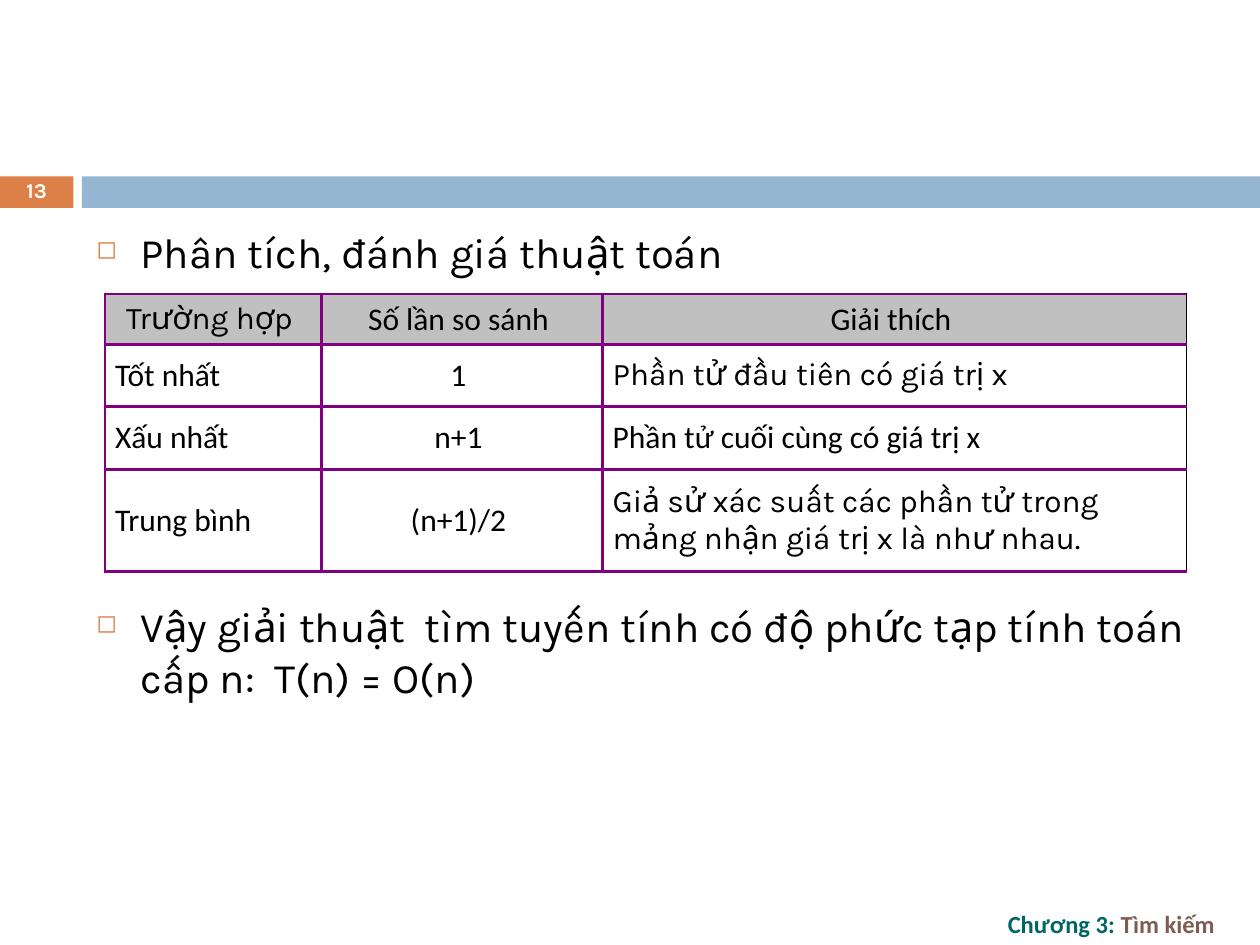
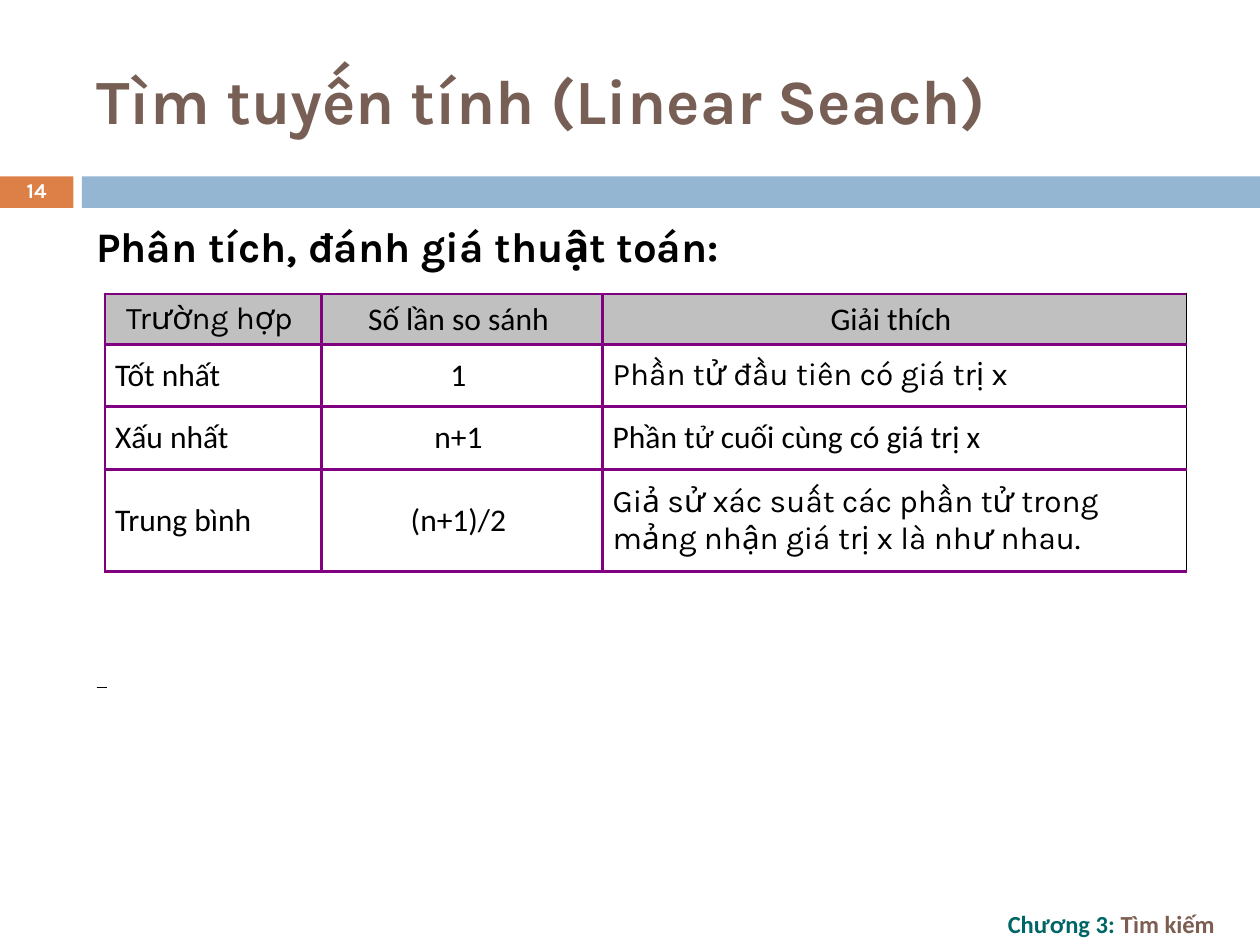
from dataclasses import dataclass

from lxml import etree
from pptx import Presentation
from pptx.dml.color import RGBColor
from pptx.enum.shapes import MSO_CONNECTOR, MSO_SHAPE
from pptx.enum.text import MSO_ANCHOR, PP_ALIGN
from pptx.oxml.ns import qn
from pptx.util import Inches, Pt

RECT, STRAIGHT = MSO_SHAPE.RECTANGLE, MSO_CONNECTOR.STRAIGHT
TOP, MIDDLE = MSO_ANCHOR.TOP, MSO_ANCHOR.MIDDLE
LEFT, CENTER = PP_ALIGN.LEFT, PP_ALIGN.CENTER


@dataclass(frozen=True)
class Theme:
    orange: str = "DD8047"
    blue: str = "94B6D2"
    teal: str = "006565"
    brown: str = "7C5D50"
    title_brown: str = "775F55"
    purple: str = "800080"
    grey: str = "C0C0C0"
    black: str = "000000"
    white: str = "FFFFFF"
    heading_font: str = "Karla"
    plain_font: str = "Calibri"
    title_size: int = 36
    body_size: int = 24
    table_size: int = 18
    footer_size: int = 14
    number_size: int = 12


theme = Theme()

prs = Presentation()
prs.slide_width, prs.slide_height = Inches(10), Inches(7.5)

# Grid of 120 columns by 90 rows
COL = prs.slide_width / 120
ROW = prs.slide_height / 90
BODY_LEFT, BODY_WIDTH = 8, 107


def place(left, top, width, height):
    return [round(v) for v in (left * COL, top * ROW, width * COL, height * ROW)]


def add_text(slide, box, lines, size, color, bold=False,
             font=theme.heading_font, anchor=MIDDLE, align=LEFT):
    frame = slide.shapes.add_textbox(*place(*box)).text_frame
    frame.word_wrap = True
    frame.vertical_anchor = anchor
    frame.text = "\n".join(lines)
    for paragraph in frame.paragraphs:
        paragraph.alignment = align
        for run in paragraph.runs:
            run.font.size = Pt(size)
            run.font.name = font
            run.font.bold = bold
            run.font.color.rgb = RGBColor.from_string(color)
    return frame


# Content of the slides
case_rows = [
    ("Trường hợp ", "Số lần so sánh ", "Giải thích "),
    ("Tốt nhất", "1 ", "Phần tử đầu tiên có giá trị x"),
    ("Xấu nhất", "n+1 ", "Phần tử cuối cùng có giá trị x"),
    ("Trung bình", "(n+1)/2 ",
     "Giả sử xác suất các phần tử trong mảng nhận giá trị x là như nhau."),
]
heading_font_cells = {(0, 0), (1, 2), (3, 2)}
case_widths = (20.6, 26.8, 55.6)
case_heights = (4.1, 5.9, 6, 9.7)
analyses = [
    (13, "", True, [
        "Phân tích, đánh giá thuật toán",
        "Vậy giải thuật  tìm tuyến tính có độ phức tạp tính toán cấp n:  T(n) = O(n)",
    ]),
    (14, "Tìm tuyến tính (Linear Seach)", False, ["Phân tích, đánh giá thuật toán:"]),
]

for number, title, bulleted, points in analyses:
    slide = prs.slides.add_slide(prs.slide_layouts[6])

    # Bands
    for left, width, color in ((0, 7, theme.orange), (7.8, 112.2, theme.blue)):
        band = slide.shapes.add_shape(RECT, *place(left, 16.8, width, 3))
        band.shadow.inherit = False
        band.fill.solid()
        band.fill.fore_color.rgb = RGBColor.from_string(color)
        band.line.fill.background()

    # Chapter footer
    chapter = add_text(slide, (94.8, 86, 25.2, 4), ["Chương 3: "], theme.footer_size,
                       theme.teal, True, theme.plain_font)
    topic = chapter.paragraphs[0].add_run()
    topic.text = "Tìm kiếm"
    topic.font.size = Pt(theme.footer_size)
    topic.font.name = theme.plain_font
    topic.font.bold = True
    topic.font.color.rgb = RGBColor.from_string(theme.brown)

    # Title
    if title:
        add_text(slide, (BODY_LEFT, 3, BODY_WIDTH, 13), [title],
                 theme.title_size, theme.title_brown, True)

    # Points above and below the table
    body = add_text(slide, (BODY_LEFT, 21, BODY_WIDTH, 59), points,
                    theme.body_size, theme.black, not bulleted, anchor=TOP)
    if bulleted:
        for point in body.paragraphs:
            props = point._p.get_or_add_pPr()
            props.set("marL", str(Inches(0.35)))
            props.set("indent", str(-Inches(0.35)))
            bullet_color = etree.SubElement(props, qn("a:buClr"))
            etree.SubElement(bullet_color, qn("a:srgbClr"), val=theme.orange)
            etree.SubElement(props, qn("a:buSzPct"), val="60000")
            etree.SubElement(props, qn("a:buChar"), char="◻")
        body.paragraphs[1].space_before = Pt(185)
    else:
        body.paragraphs[0].line_spacing = 0.9
        # Short rule under the table
        rule = slide.shapes.add_connector(
            STRAIGHT, round(9.2 * COL), round(65.5 * ROW),
            round(10.2 * COL), round(65.5 * ROW))
        rule.line.width = Pt(0.75)
        rule.line.color.rgb = RGBColor.from_string(theme.black)
        etree.SubElement(rule._element.spPr, qn("a:effectLst"))

    # Slide number
    number_box = add_text(slide, (0, 16.7, 7, 3.2), [str(number)], theme.number_size,
                          theme.white, True, align=CENTER)
    number_box.paragraphs[0].line_spacing = 0.8

    # Table of cases
    cases = slide.shapes.add_table(
        len(case_rows), len(case_widths),
        *place(10, 28, sum(case_widths), sum(case_heights))).table
    for column, width in zip(cases.columns, case_widths):
        column.width = round(width * COL)
    for row, height in zip(cases.rows, case_heights):
        row.height = round(height * ROW)
    for r, texts in enumerate(case_rows):
        for c, text in enumerate(texts):
            cell = cases.cell(r, c)
            cell.text = text
            cell.vertical_anchor = MIDDLE
            cell.margin_left = cell.margin_right = Inches(0.08)
            cell.margin_top = cell.margin_bottom = Inches(0.05)
            paragraph = cell.text_frame.paragraphs[0]
            paragraph.alignment = CENTER if r == 0 or c == 1 else LEFT
            font = paragraph.runs[0].font
            font.size = Pt(theme.table_size)
            font.bold = False
            font.name = (theme.heading_font if (r, c) in heading_font_cells
                         else theme.plain_font)
            font.color.rgb = RGBColor.from_string(theme.black)

            # Borders come before the fill in the cell's properties
            cell_props = cell._tc.get_or_add_tcPr()
            for side in ("L", "R", "T", "B"):
                outer_right = side == "R" and c == len(texts) - 1
                border = etree.SubElement(cell_props, qn(f"a:ln{side}"),
                                          w=str(Pt(0.34 if outer_right else 1.87)))
                paint = etree.SubElement(border, qn("a:solidFill"))
                etree.SubElement(paint, qn("a:srgbClr"),
                                 val=theme.black if outer_right else theme.purple)
            if r == 0:
                cell.fill.solid()
                cell.fill.fore_color.rgb = RGBColor.from_string(theme.grey)
            else:
                cell.fill.background()

prs.save("out.pptx")
